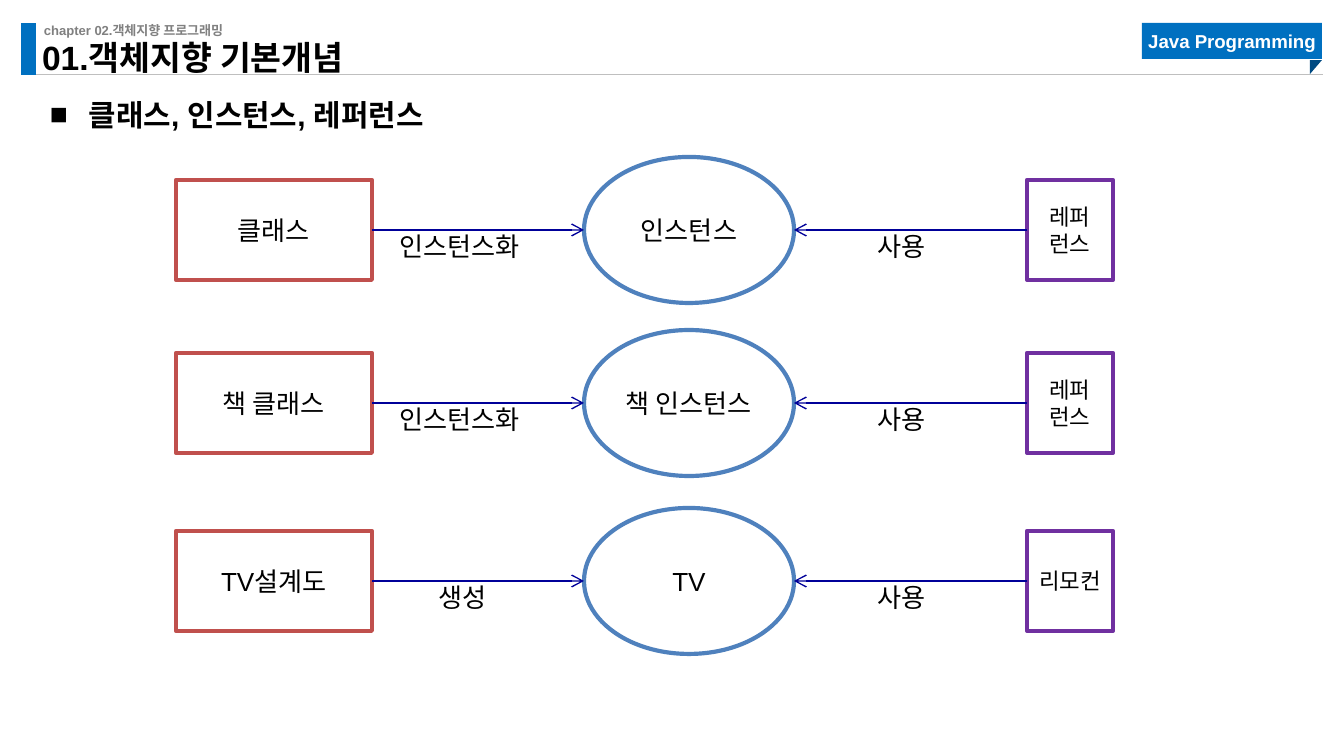
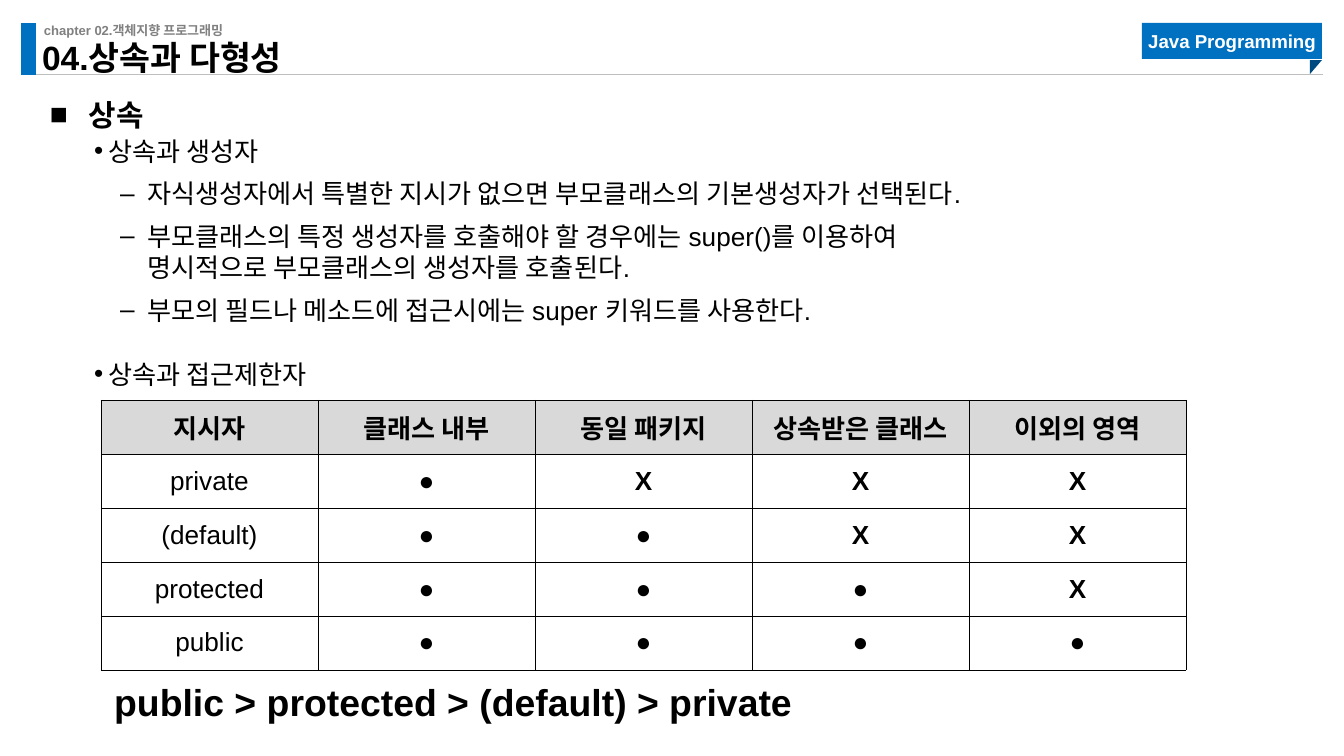
from copy import deepcopy
from dataclasses import dataclass

from lxml.etree import SubElement
from pptx import Presentation
from pptx.dml.color import RGBColor as Rgb
from pptx.enum.shapes import MSO_CONNECTOR as Link, MSO_SHAPE as Shape
from pptx.enum.text import MSO_ANCHOR as Anchor, PP_ALIGN as Align
from pptx.oxml.ns import qn
from pptx.util import Emu, Pt

# Content
CHAPTER = "chapter 02.객체지향 프로그래밍"
BADGE = "Java Programming"

CONCEPTS = {
    "title": "01.객체지향 기본개념",
    "heading": "클래스, 인스턴스, 레퍼런스",
    # centre line, class, creation label, label width, instance, reference
    "rows": [
        (230, "클래스", "인스턴스화", 159, "인스턴스", ["레퍼", "런스"]),
        (403, "책 클래스", "인스턴스화", 159, "책 인스턴스", ["레퍼", "런스"]),
        (581, "TV설계도", "생성", 81, "TV", ["리모컨"]),
    ],
    "use": "사용",
}

INHERITANCE = {
    "title": "04.상속과 다형성",
    "heading": "상속",
    # top, height, [(level, text)]
    "lists": [
        (135, 197, [
            (1, "상속과 생성자"),
            (2, "자식생성자에서 특별한 지시가 없으면 부모클래스의 기본생성자가 선택된다."),
            (2, "부모클래스의 특정 생성자를 호출해야 할 경우에는 super()를 이용하여\v"
                "명시적으로 부모클래스의 생성자를 호출된다."),
            (2, "부모의 필드나 메소드에 접근시에는 super 키워드를 사용한다."),
        ]),
        (358, 42, [(1, "상속과 접근제한자")]),
    ],
    "access": [
        ("지시자", "클래스 내부", "동일 패키지", "상속받은 클래스", "이외의 영역"),
        ("private", "●", "X", "X", "X"),
        ("(default)", "●", "●", "X", "X"),
        ("protected", "●", "●", "●", "X"),
        ("public", "●", "●", "●", "●"),
    ],
    "order": "public > protected > (default) > private",
}


# Look
@dataclass(frozen=True)
class Theme:
    font: str = "Arial"
    black: str = "000000"
    white: str = "FFFFFF"
    grey: str = "808080"
    rule: str = "BFBFBF"
    blue: str = "0070C0"
    fold: str = "004A82"
    class_line: str = "C0504D"
    instance_line: str = "4F81BD"
    reference_line: str = "7030A0"
    arrow: str = "000099"
    header: str = "D9D9D9"
    chapter_size: int = 7
    badge_size: int = 10
    small_size: int = 12
    text_size: int = 14
    heading_size: int = 16
    title_size: int = 18
    order_size: int = 20


THEME = Theme()
EMU_PER_PX = 914400 / 134.4
NO_INSET = (0, 0, 0, 0)
# bullet, left margin px, hanging indent px
BULLETS = {0: ("■", 39, 39), 1: ("•", 54, 14), 2: ("–", 93, 27)}


def px(length):
    return Emu(round(length * EMU_PER_PX))


def place(*lengths):
    return [px(length) for length in lengths]


# Text
def style(para, size, color=THEME.black, bold=False):
    for span in para.runs:
        values = {"name": THEME.font, "size": Pt(size), "bold": bold}
        for name, value in values.items():
            setattr(span.font, name, value)
        span.font.color.rgb = Rgb.from_string(color)
    for line_break in para._p.findall(qn("a:br")):
        line_break.append(deepcopy(para.runs[0]._r.rPr))


def set_bullet(para, level):
    mark, left, hang = BULLETS[level]
    props = para._p.get_or_add_pPr()
    props.set("marL", str(px(left)))
    props.set("indent", str(-px(hang)))
    SubElement(props, qn("a:buFont"), typeface=THEME.font)
    SubElement(props, qn("a:buChar"), char=mark)
    para.level = level


def write(box, lines, size, color=THEME.black, bold=False, align=Align.LEFT,
          anchor=Anchor.TOP, inset=NO_INSET, wrap=True):
    frame = box.text_frame
    sides = ("margin_left", "margin_top", "margin_right", "margin_bottom")
    values = {"word_wrap": wrap, "vertical_anchor": anchor}
    if inset:
        values.update(zip(sides, place(*inset)))
    for name, value in values.items():
        setattr(frame, name, value)
    for index, line in enumerate(lines):
        para = frame.add_paragraph() if index else frame.paragraphs[0]
        para.text = line
        para.alignment = align
        style(para, size, color, bold)
    return frame.paragraphs


def add_text(page, area, lines, size, **options):
    return write(page.shapes.add_textbox(*place(*area)), lines, size, **options)


# Shapes
def add_block(page, kind, area, fill, line=None):
    block = page.shapes.add_shape(kind, *place(*area))
    block.shadow.inherit = False
    block.fill.solid()
    block.fill.fore_color.rgb = Rgb.from_string(fill)
    if line:
        block.line.color.rgb = Rgb.from_string(line)
        block.line.width = Pt(2.25)
    else:
        block.line.fill.background()
    return block


def add_line(page, start, end, y, color, width):
    line = page.shapes.add_connector(Link.STRAIGHT, *place(start, y, end, y))
    line.line.color.rgb = Rgb.from_string(color)
    line.line.width = Pt(width)
    SubElement(line._element.spPr, qn("a:effectLst"))
    return line


def add_arrow(page, start, end, y, source, side):
    arrow = add_line(page, start, end, y, THEME.arrow, 0.75)
    SubElement(arrow.line._get_or_add_ln(), qn("a:tailEnd"), type="arrow")
    arrow.begin_connect(source, side)


# Parts shared by both slides
def add_page(deck, content):
    page = deck.slides.add_slide(deck.slide_layouts[6])
    add_line(page, 21, 1323, 75, THEME.rule, 0.5)
    add_block(page, Shape.RECTANGLE, (21, 23, 15, 52), THEME.blue)
    add_text(page, (44, 22, 434, 16), [CHAPTER], THEME.chapter_size,
             color=THEME.grey, bold=True)
    badge = add_block(page, Shape.RECTANGLE, (1142, 23, 180, 36), THEME.blue)
    write(badge, [BADGE], THEME.badge_size, color=THEME.white, bold=True,
          align=Align.CENTER, anchor=Anchor.MIDDLE)
    fold = add_block(page, Shape.RIGHT_TRIANGLE, (1309, 61, 14, 12), THEME.fold)
    fold.rotation = 90
    title = add_text(page, (42, 47, 444, 31), [content["title"]],
                     THEME.title_size, bold=True, anchor=Anchor.BOTTOM)
    title[0].line_spacing = 0.9
    heading = add_text(page, (50, 79, 1282, 44), [content["heading"]],
                       THEME.heading_size, bold=True)
    set_bullet(heading[0], 0)
    heading[0].line_spacing = 1.5
    return page


# Class, instance and reference diagram
def add_node(page, kind, left, width, height, middle, color, lines, size):
    area = (left, middle - height // 2, width, height)
    node = add_block(page, kind, area, THEME.white, color)
    write(node, lines, size, align=Align.CENTER, anchor=Anchor.MIDDLE, wrap=False)
    return node


def add_label(page, center, width, middle, text):
    add_text(page, (center - width // 2, middle - 6, width, 46), [text],
             THEME.text_size, inset=None, wrap=False)


def build_concepts(deck):
    page = add_page(deck, CONCEPTS)
    for middle, name, creation, label_width, instance, reference in CONCEPTS["rows"]:
        source = add_node(page, Shape.RECTANGLE, 176, 196, 100, middle,
                          THEME.class_line, [name], THEME.text_size)
        add_node(page, Shape.OVAL, 584, 210, 146, middle,
                 THEME.instance_line, [instance], THEME.text_size)
        user = add_node(page, Shape.RECTANGLE, 1027, 86, 100, middle,
                        THEME.reference_line, reference, THEME.small_size)
        add_arrow(page, 372, 584, middle, source, 3)
        add_label(page, 465, label_width, middle, creation)
        add_arrow(page, 1027, 794, middle, user, 1)
        add_label(page, 904, 81, middle, CONCEPTS["use"])


# Access table
def set_borders(cell):
    props = cell._tc.get_or_add_tcPr()
    for side in ("lnL", "lnR", "lnT", "lnB"):
        line = SubElement(props, qn(f"a:{side}"), w=str(Pt(0.25)))
        fill = SubElement(line, qn("a:solidFill"))
        SubElement(fill, qn("a:srgbClr"), val=THEME.black)


def add_access_table(page, rows):
    width, height = 217, 54
    row_count, column_count = len(rows), len(rows[0])
    area = place(101, 400, width * column_count, height * row_count)
    table = page.shapes.add_table(row_count, column_count, *area).table
    table.first_row = table.horz_banding = False
    for column in table.columns:
        column.width = px(width)
    for row_index, row in enumerate(rows):
        table.rows[row_index].height = px(height)
        for column_index, text in enumerate(row):
            cell = table.cell(row_index, column_index)
            cell.vertical_anchor = Anchor.MIDDLE
            set_borders(cell)
            if row_index == 0:
                cell.margin_left = cell.margin_right = 0
                cell.margin_top = cell.margin_bottom = 0
                cell.fill.solid()
                cell.fill.fore_color.rgb = Rgb.from_string(THEME.header)
            else:
                cell.fill.background()
            para = cell.text_frame.paragraphs[0]
            para.text = text
            para.alignment = Align.CENTER
            style(para, THEME.text_size, bold=row_index == 0 or column_index > 0)


def build_inheritance(deck):
    page = add_page(deck, INHERITANCE)
    for top, height, items in INHERITANCE["lists"]:
        paras = add_text(page, (54, top, 1181, height),
                         [text for _, text in items], THEME.text_size,
                         inset=(0, 0, 13, 7))
        for index, (para, (level, _)) in enumerate(zip(paras, items)):
            set_bullet(para, level)
            if index:
                para.space_before = Pt(6)
    add_access_table(page, INHERITANCE["access"])
    add_text(page, (101, 673, 848, 59), [INHERITANCE["order"]],
             THEME.order_size, bold=True, inset=None)


def main():
    deck = Presentation()
    deck.slide_width, deck.slide_height = place(1344, 756)
    build_concepts(deck)
    build_inheritance(deck)
    deck.save("out.pptx")


if __name__ == "__main__":
    main()
